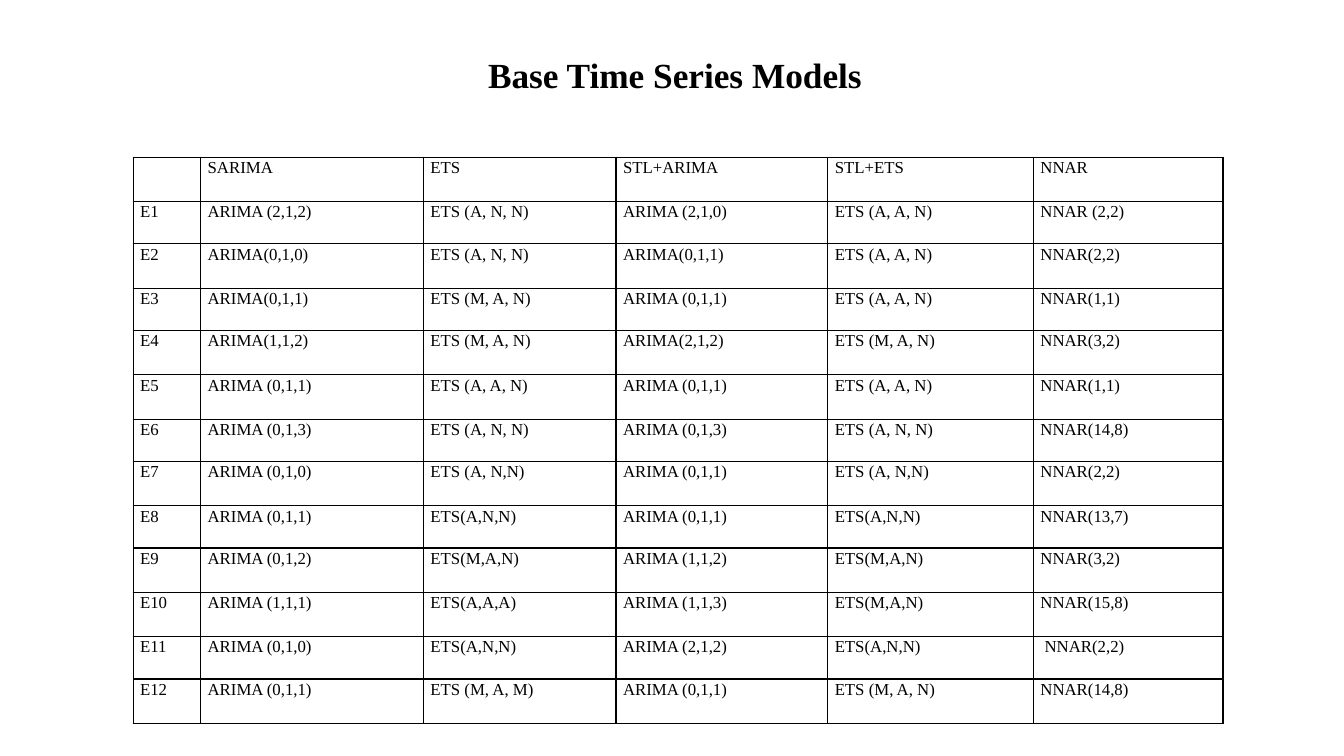
from lxml import etree
from pptx import Presentation
from pptx.dml.color import RGBColor
from pptx.enum.text import MSO_ANCHOR, PP_ALIGN
from pptx.oxml.ns import qn
from pptx.util import Inches, Pt

TOP = MSO_ANCHOR.TOP
LEFT, JUSTIFY = PP_ALIGN.LEFT, PP_ALIGN.JUSTIFY
BLACK = "000000"
COLUMN_WIDTHS = [0.67, 2.21, 1.91, 2.1, 2.04, 1.88]
MODELS = [
    ["", "SARIMA", "ETS", "STL+ARIMA", "STL+ETS", "NNAR"],
    ["E1", "ARIMA (2,1,2)", "ETS (A, N, N)", "ARIMA (2,1,0)", "ETS (A, A, N)", "NNAR (2,2)"],
    ["E2", "ARIMA(0,1,0)", "ETS (A, N, N)", "ARIMA(0,1,1)", "ETS (A, A, N)", "NNAR(2,2)"],
    ["E3", "ARIMA(0,1,1)", "ETS (M, A, N)", "ARIMA (0,1,1)", "ETS (A, A, N)", "NNAR(1,1)"],
    ["E4", "ARIMA(1,1,2)", "ETS (M, A, N)", "ARIMA(2,1,2)", "ETS (M, A, N)", "NNAR(3,2)"],
    ["E5", "ARIMA (0,1,1)", "ETS (A, A, N)", "ARIMA (0,1,1)", "ETS (A, A, N)", "NNAR(1,1)"],
    ["E6", "ARIMA (0,1,3)", "ETS (A, N, N)", "ARIMA (0,1,3)", "ETS (A, N, N)", "NNAR(14,8)"],
    ["E7", "ARIMA (0,1,0)", "ETS (A, N,N)", "ARIMA (0,1,1)", "ETS (A, N,N)", "NNAR(2,2)"],
    ["E8", "ARIMA (0,1,1)", "ETS(A,N,N)", "ARIMA (0,1,1)", "ETS(A,N,N)", "NNAR(13,7)"],
    ["E9", "ARIMA (0,1,2)", "ETS(M,A,N)", "ARIMA (1,1,2)", "ETS(M,A,N)", "NNAR(3,2)"],
    ["E10", "ARIMA (1,1,1)", "ETS(A,A,A)", "ARIMA (1,1,3)", "ETS(M,A,N)", "NNAR(15,8)"],
    ["E11", "ARIMA (0,1,0)", "ETS(A,N,N)", "ARIMA (2,1,2)", "ETS(A,N,N)", " NNAR(2,2)"],
    ["E12", "ARIMA (0,1,1)", "ETS (M, A, M)", "ARIMA (0,1,1)", "ETS (M, A, N)", "NNAR(14,8)"],
]


def format_text(para, size, align, spacing, bold=False):
    para.alignment = align
    para.line_spacing = spacing
    para.font.name = "Times New Roman"
    para.font.size = Pt(size)
    para.font.bold = bold
    para.font.color.rgb = RGBColor.from_string(BLACK)
    for span in para.runs:
        span.font.name = "Times New Roman"
        span.font.size = Pt(size)
        span.font.bold = bold
        span.font.color.rgb = RGBColor.from_string(BLACK)


def add_borders(cell, color):
    properties = cell._tc.get_or_add_tcPr()
    for side in ("lnL", "lnR", "lnT", "lnB"):
        line = etree.SubElement(properties, qn("a:" + side), w=str(Pt(1)))
        fill = etree.SubElement(line, qn("a:solidFill"))
        etree.SubElement(fill, qn("a:srgbClr"), val=color)


deck = Presentation()
deck.slide_width, deck.slide_height = Inches(13.33), Inches(7.5)
page = deck.slides.add_slide(deck.slide_layouts[5])

title = page.shapes.title
title.left, title.top = Inches(4.74), Inches(0.53)
title.width, title.height = Inches(5.11), Inches(0.71)
title.text_frame.text = "Base Time Series Models"
title.text_frame.word_wrap = True
title.text_frame.vertical_anchor = TOP
format_text(title.text_frame.paragraphs[0], 25.2, LEFT, 0.9, bold=True)

table = page.shapes.add_table(
    len(MODELS), len(COLUMN_WIDTHS),
    Inches(1.32), Inches(1.56), Inches(10.8), Inches(5.6)).table
table.first_row = False
table.horz_banding = False
for column, width in zip(table.columns, COLUMN_WIDTHS):
    column.width = Inches(width)

for index, names in enumerate(MODELS):
    # The second and fourth of every five rows are slightly lower.
    table.rows[index].height = Inches(0.42 if index % 5 in (1, 3) else 0.44)
    for cell, name in zip(table.rows[index].cells, names):
        cell.text_frame.text = name
        cell.margin_left = cell.margin_right = Inches(0.07)
        cell.margin_top = cell.margin_bottom = 0
        format_text(cell.text_frame.paragraphs[0], 12, JUSTIFY, 1.07)
        add_borders(cell, BLACK)
        cell.fill.background()

deck.save("out.pptx")
